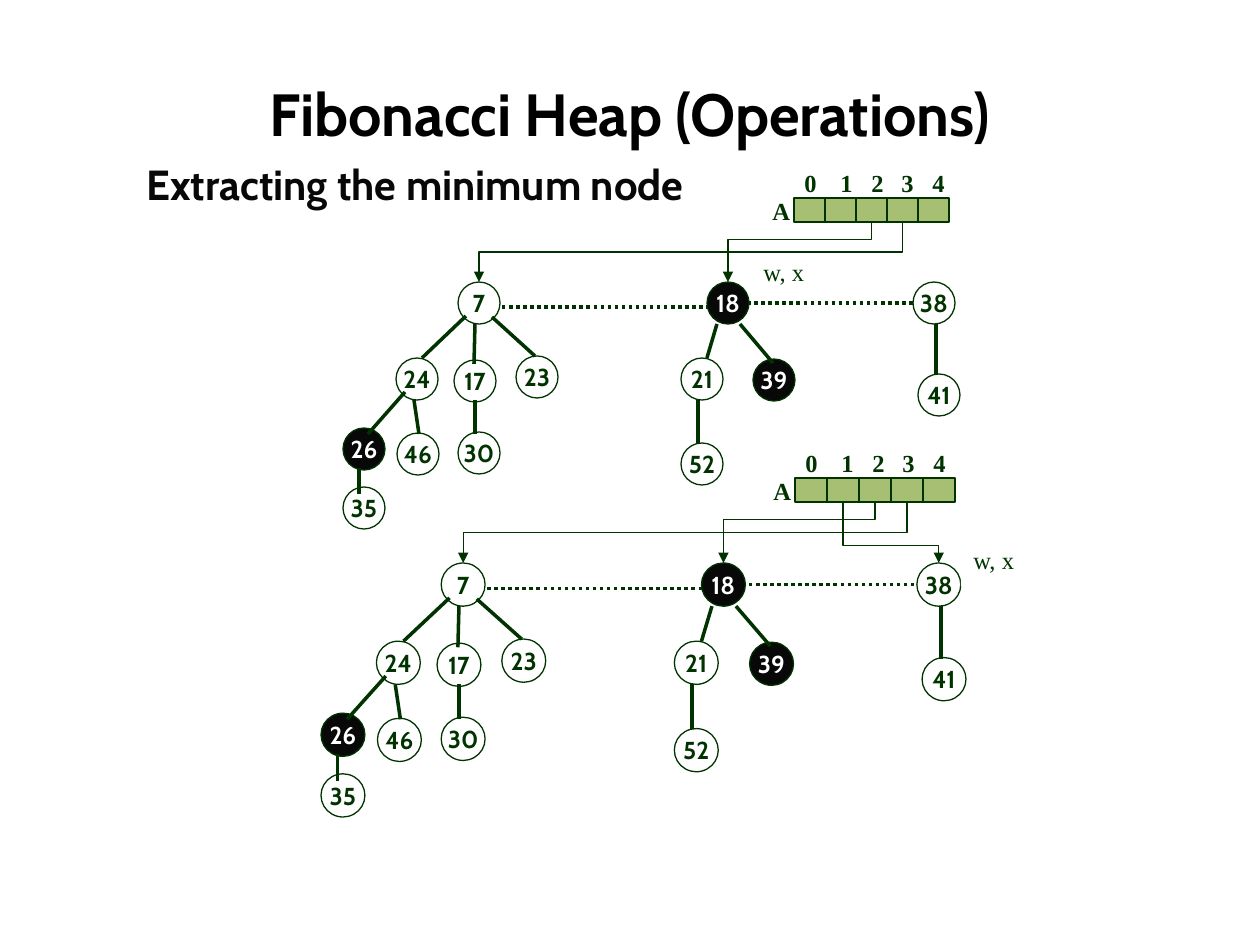
from lxml.etree import SubElement
from pptx import Presentation
from pptx.dml.color import RGBColor
from pptx.enum.dml import MSO_LINE
from pptx.enum.shapes import MSO_CONNECTOR, MSO_SHAPE
from pptx.enum.text import MSO_ANCHOR, PP_ALIGN
from pptx.oxml.ns import qn
from pptx.util import Emu, Pt

PX = 914400 // 126
GREEN, BLACK, WHITE, OLIVE = "003300", "080808", "FFFFFF", "A6BF73"
HEADING_FONT, LABEL_FONT = "Cabin", "Times New Roman"

HEAP_WIDTH, HEAP_HEIGHT, NODE_SIZE = 617, 247, 42
NODES = {
    "7": (115, 0), "18": (364, 0), "38": (570, 0),
    "24": (53, 76), "17": (111, 78), "23": (173, 74),
    "26": (0, 146), "46": (54, 151), "30": (115, 150), "35": (0, 205),
    "21": (338, 76), "39": (410, 77), "52": (338, 161), "41": (575, 92),
}
MARKED = {"18", "26", "39"}
ROOT_LINKS = [(159, 25, 373, 25), (369, 21, 570, 21)]
EDGES = [
    (123, 34, 79, 76), (132, 42, 131, 82), (149, 35, 192, 74),
    (62, 110, 25, 152), (71, 118, 76, 152), (16, 186, 16, 212),
    (132, 118, 132, 152), (374, 42, 364, 76), (397, 42, 430, 81),
    (355, 118, 355, 161), (593, 42, 593, 93),
]
CELL_COUNT, CELL_HEIGHT = 5, 24
INDEX_TABS = [36, 67, 97, 128]


def px(value):
    return Emu(round(value * PX))


def color(hex_string):
    return RGBColor.from_string(hex_string)


def write(shape, text, font=LABEL_FONT, size=14, fill=GREEN, bold=True, wrap=False,
          align=PP_ALIGN.LEFT, anchor=MSO_ANCHOR.TOP, line_spacing=None, tabs=()):
    frame = shape.text_frame
    frame.word_wrap = wrap
    frame.vertical_anchor = anchor
    paragraph = frame.paragraphs[0]
    paragraph.alignment = align
    if line_spacing:
        paragraph.line_spacing = line_spacing
    if tabs:
        tab_list = SubElement(paragraph._p.get_or_add_pPr(), qn("a:tabLst"))
        for position in tabs:
            SubElement(tab_list, qn("a:tab"), pos=str(px(position)), algn="l")
    run = paragraph.add_run()
    run.text = text
    run.font.name = font
    run.font.size = Pt(size)
    run.font.bold = bold
    run.font.color.rgb = color(fill)


def add_text(slide, left, top, width, height, text, **text_format):
    box = slide.shapes.add_textbox(px(left), px(top), px(width), px(height))
    write(box, text, **text_format)
    return box


def add_outlined(slide, kind, left, top, width, height, fill):
    shape = slide.shapes.add_shape(kind, px(left), px(top), px(width), px(height))
    shape.shadow.inherit = False
    shape.fill.solid()
    shape.fill.fore_color.rgb = color(fill)
    shape.line.color.rgb = color(GREEN)
    shape.line.width = Pt(0.75)
    return shape


def add_line(slide, start_x, start_y, end_x, end_y, kind=MSO_CONNECTOR.STRAIGHT,
             width=2, dash=None):
    line = slide.shapes.add_connector(kind, px(start_x), px(start_y), px(end_x), px(end_y))
    line.line.color.rgb = color(GREEN)
    line.line.width = Pt(width)
    if dash:
        line.line.dash_style = dash
    SubElement(line.element.spPr, qn("a:effectLst"))
    return line


def add_pointer(slide, start_x, start_y, end_x, end_y, bend):
    run_length, drop = abs(end_x - start_x), end_y - start_y
    center_x, center_y = (start_x + end_x) / 2, (start_y + end_y) / 2
    pointer = add_line(slide, center_x - drop / 2, center_y - run_length / 2,
                       center_x + drop / 2, center_y + run_length / 2,
                       kind=MSO_CONNECTOR.ELBOW, width=0.75)
    properties = pointer.element.spPr
    transform = properties.find(qn("a:xfrm"))
    if end_x < start_x:
        transform.set("rot", "5400000")
    else:
        transform.set("rot", "16200000")
        transform.set("flipH", "1")
    adjustments = properties.find(qn("a:prstGeom")).find(qn("a:avLst"))
    SubElement(adjustments, qn("a:gd"), name="adj1", fmla=f"val {round(bend * 100000)}")
    SubElement(properties.find(qn("a:ln")), qn("a:tailEnd"), type="triangle")


def add_heap(slide, left, top, width, height):
    scale_x, scale_y = width / HEAP_WIDTH, height / HEAP_HEIGHT

    def place(x, y):
        return left + x * scale_x, top + y * scale_y

    def connect(start_x, start_y, end_x, end_y, dash=None):
        add_line(slide, *place(start_x, start_y), *place(end_x, end_y), dash=dash)

    for link in ROOT_LINKS:
        connect(*link, dash=MSO_LINE.ROUND_DOT)
    for key, (x, y) in NODES.items():
        marked = key in MARKED
        node = add_outlined(slide, MSO_SHAPE.OVAL, *place(x, y), NODE_SIZE * scale_x,
                            NODE_SIZE * scale_y, BLACK if marked else WHITE)
        write(node, key, font=HEADING_FONT, fill=WHITE if marked else GREEN,
              align=PP_ALIGN.CENTER, anchor=MSO_ANCHOR.MIDDLE)
    for edge in EDGES:
        connect(*edge)
    return {key: place(x + NODE_SIZE / 2, y) for key, (x, y) in NODES.items()}


def add_degree_array(slide, left, top, cell_width, node_tops, pointers):
    add_text(slide, left - 2, top - 36, 180, 43, "0\t1\t2\t3\t4", wrap=True, tabs=INDEX_TABS)
    add_text(slide, left - 34, top - 8, 43, 43, "A")
    for index in range(CELL_COUNT):
        add_outlined(slide, MSO_SHAPE.RECTANGLE, left + index * cell_width, top,
                     cell_width, CELL_HEIGHT, OLIVE)
    for index, key, bend in pointers:
        add_pointer(slide, left + (index + 0.5) * cell_width, top + CELL_HEIGHT,
                    *node_tops[key], bend)


def add_step(slide, heap_box, label_box, array_place, pointers):
    node_tops = add_heap(slide, *heap_box)
    label = add_text(slide, *label_box, "w, x", bold=False)
    label.fill.solid()
    label.fill.fore_color.rgb = color(WHITE)
    add_degree_array(slide, *array_place, node_tops, pointers)


def main():
    presentation = Presentation()
    presentation.slide_width, presentation.slide_height = px(1260), px(945)
    slide = presentation.slides.add_slide(presentation.slide_layouts[6])
    add_text(slide, 63, 63, 1134, 100, "Fibonacci Heap (Operations)", font=HEADING_FONT,
             size=34, fill="000000", wrap=True, align=PP_ALIGN.CENTER,
             anchor=MSO_ANCHOR.MIDDLE)
    add_text(slide, 134, 127, 992, 306, "Extracting the minimum node", font=HEADING_FONT,
             size=24, fill=BLACK, wrap=True, align=PP_ALIGN.JUSTIFY, line_spacing=1.5)
    pointers = [(3, "7", 0.5), (2, "18", 0.29)]
    add_step(slide, (343, 282, 617, 247), (751, 251, 67, 43), (794, 198, 31), pointers)
    add_step(slide, (321, 563, 645, 254), (961, 539, 71, 47), (795, 478, 32),
             pointers + [(1, "38", 0.71)])
    presentation.save("out.pptx")


if __name__ == "__main__":
    main()
